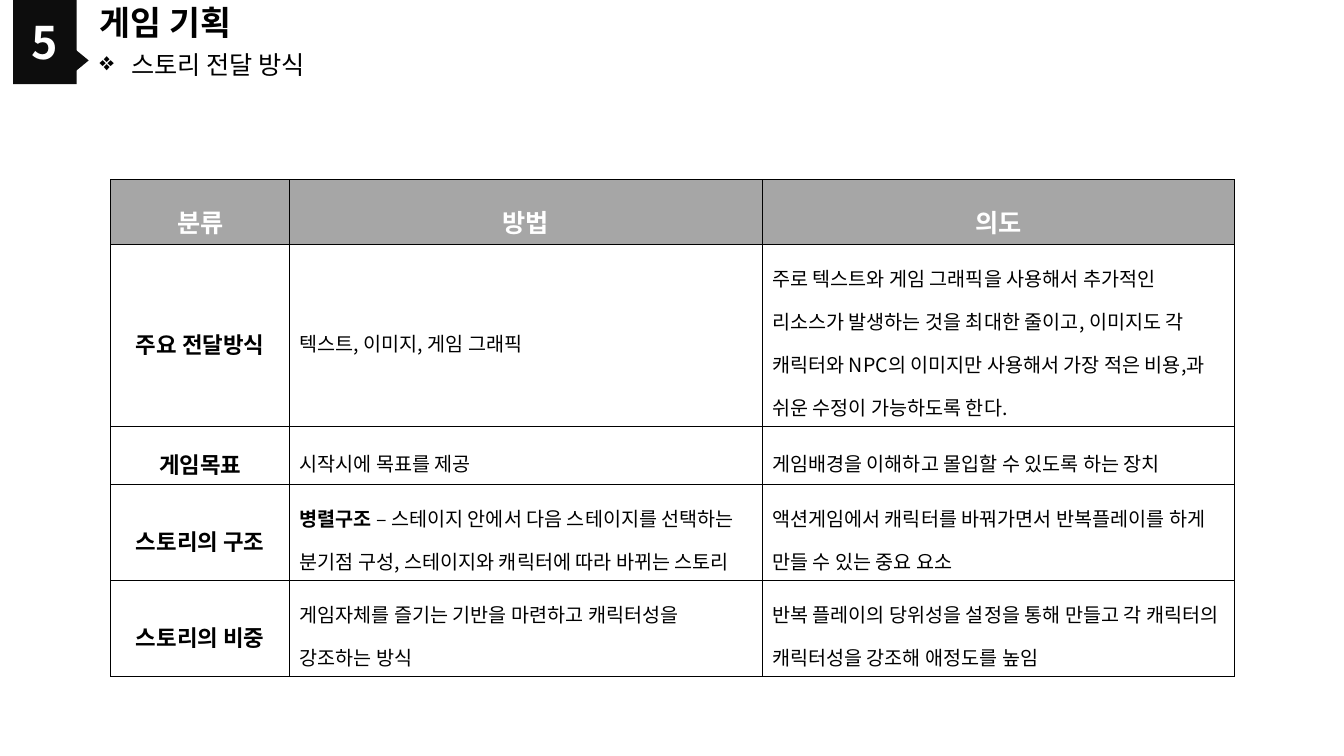
from dataclasses import dataclass
from lxml.etree import SubElement
from pptx import Presentation
from pptx.dml.color import RGBColor
from pptx.enum.shapes import MSO_SHAPE
from pptx.enum.text import MSO_ANCHOR, MSO_AUTO_SIZE, PP_ALIGN
from pptx.oxml.ns import qn
from pptx.util import Pt

FONT = "Noto Sans CJK KR"
BLACK = RGBColor(0, 0, 0)
WHITE = RGBColor(255, 255, 255)
DARK = RGBColor(0x0D, 0x0D, 0x0D)
GRAY = RGBColor(0xA6, 0xA6, 0xA6)


@dataclass(frozen=True)
class Style:
    size: float
    bold: bool = False
    color: RGBColor = BLACK
    align: PP_ALIGN = PP_ALIGN.LEFT


@dataclass(frozen=True)
class Block:
    kind: MSO_SHAPE
    left: float
    top: float
    width: float
    height: float
    turn: float = 0


@dataclass(frozen=True)
class Row:
    height: float
    topic: str
    method: str
    intent: str
    lead: str = ""


HEAD = Style(18, True, WHITE, PP_ALIGN.CENTER)
TOPIC = Style(16, True, BLACK, PP_ALIGN.CENTER)
BODY = Style(14)

BLOCKS = [
    Block(MSO_SHAPE.RECTANGLE, 9.4, 0, 45.4, 60.2),
    Block(MSO_SHAPE.ISOSCELES_TRIANGLE, 42.5, 35.3, 25.9, 15.8, 90),
]
WIDTHS = [127.6, 337.6, 337.6]
ROWS = [
    Row(46.4, "분류", "방법", "의도"),
    Row(129.4, "주요 전달방식", "텍스트, 이미지, 게임 그래픽",
        "주로 텍스트와 게임 그래픽을 사용해서 추가적인 리소스가 발생하는 것을 최대한 줄이고, "
        "이미지도 각 캐릭터와 NPC의 이미지만 사용해서 가장 적은 비용,과 쉬운 수정이 가능하도록 한다."),
    Row(41.6, "게임목표", "시작시에 목표를 제공", "게임배경을 이해하고 몰입할 수 있도록 하는 장치"),
    Row(68.5, "스토리의 구조",
        "– 스테이지 안에서 다음 스테이지를 선택하는 분기점 구성, 스테이지와 캐릭터에 따라 바뀌는 스토리",
        "액션게임에서 캐릭터를 바꿔가면서 반복플레이를 하게 만들 수 있는 중요 요소", "병렬구조 "),
    Row(68.5, "스토리의 비중", "게임자체를 즐기는 기반을 마련하고 캐릭터성을 강조하는 방식",
        "반복 플레이의 당위성을 설정을 통해 만들고 각 캐릭터의 캐릭터성을 강조해 애정도를 높임"),
]


def style_run(run, style: Style) -> None:
    font = run.font
    font.size = Pt(style.size)
    font.bold = style.bold
    font.color.rgb = style.color
    font.name = FONT
    SubElement(run._r.get_or_add_rPr(), qn("a:ea"), typeface=FONT)


def write(frame, text: str, style: Style, lead: str = ""):
    para = frame.paragraphs[0]
    para.text = lead or text
    if lead:
        para.add_run().text = text
    para.alignment = style.align
    para.space_before = Pt(0)
    for run in para.runs:
        style_run(run, style)
    if lead:
        para.runs[0].font.bold = True
    return para


def place(shape, left: float, top: float, width: float, height: float) -> None:
    shape.left, shape.top = Pt(left), Pt(top)
    shape.width, shape.height = Pt(width), Pt(height)
    frame = shape.text_frame
    frame.word_wrap = True
    frame.auto_size = MSO_AUTO_SIZE.NONE
    frame.vertical_anchor = MSO_ANCHOR.MIDDLE


def add_block(slide, block: Block) -> None:
    shape = slide.shapes.add_shape(
        block.kind, Pt(block.left), Pt(block.top), Pt(block.width), Pt(block.height))
    shape.rotation = block.turn
    shape.shadow.inherit = False
    shape.fill.solid()
    shape.fill.fore_color.rgb = DARK
    shape.line.fill.background()


def add_label(slide, box: tuple[float, float, float, float], text: str, style: Style):
    label = slide.shapes.add_textbox(0, 0, 0, 0)
    place(label, *box)
    return write(label.text_frame, text, style)


def add_mark(para, mark: str, indent: float) -> None:
    props = para._p.get_or_add_pPr()
    props.set("marL", str(Pt(indent)))
    props.set("indent", str(-Pt(indent)))
    SubElement(props, qn("a:buChar"), char=mark)


def add_edges(cell) -> None:
    props = cell._tc.get_or_add_tcPr()
    for side in ("lnL", "lnR", "lnT", "lnB"):
        line = SubElement(props, qn(f"a:{side}"), w=str(Pt(1)))
        fill = SubElement(line, qn("a:solidFill"))
        SubElement(fill, qn("a:srgbClr"), val=str(BLACK))


def add_grid(slide) -> None:
    total = sum(row.height for row in ROWS)
    grid = slide.shapes.add_table(
        len(ROWS), len(WIDTHS), Pt(79.2), Pt(128.3), Pt(sum(WIDTHS)), Pt(total)).table
    for col, width in zip(grid.columns, WIDTHS):
        col.width = Pt(width)
    for i, row in enumerate(ROWS):
        grid.rows[i].height = Pt(row.height)
        for j, text in enumerate((row.topic, row.method, row.intent)):
            cell = grid.cell(i, j)
            cell.vertical_anchor = MSO_ANCHOR.MIDDLE
            add_edges(cell)
            if i == 0:
                cell.fill.solid()
                cell.fill.fore_color.rgb = GRAY
            else:
                cell.fill.background()
            style = HEAD if i == 0 else TOPIC if j == 0 else BODY
            para = write(cell.text_frame, text, style, row.lead if j == 1 else "")
            para.line_spacing = 1.5


def main() -> None:
    deck = Presentation()
    deck.slide_width, deck.slide_height = Pt(960), Pt(540)
    slide = deck.slides.add_slide(deck.slide_layouts[5])
    for block in BLOCKS:
        add_block(slide, block)
    title = slide.shapes.title
    place(title, 64, 0, 530, 31.7)
    write(title.text_frame, "게임 기획", Style(24, True))
    add_label(slide, (0, 0, 63.4, 59), "5", Style(32, True, WHITE, PP_ALIGN.CENTER))
    para = add_label(slide, (64, 33.1, 530, 25.9), "스토리 전달 방식", Style(18))
    add_mark(para, "❖", 22.5)
    add_grid(slide)
    deck.save("out.pptx")


if __name__ == "__main__":
    main()
